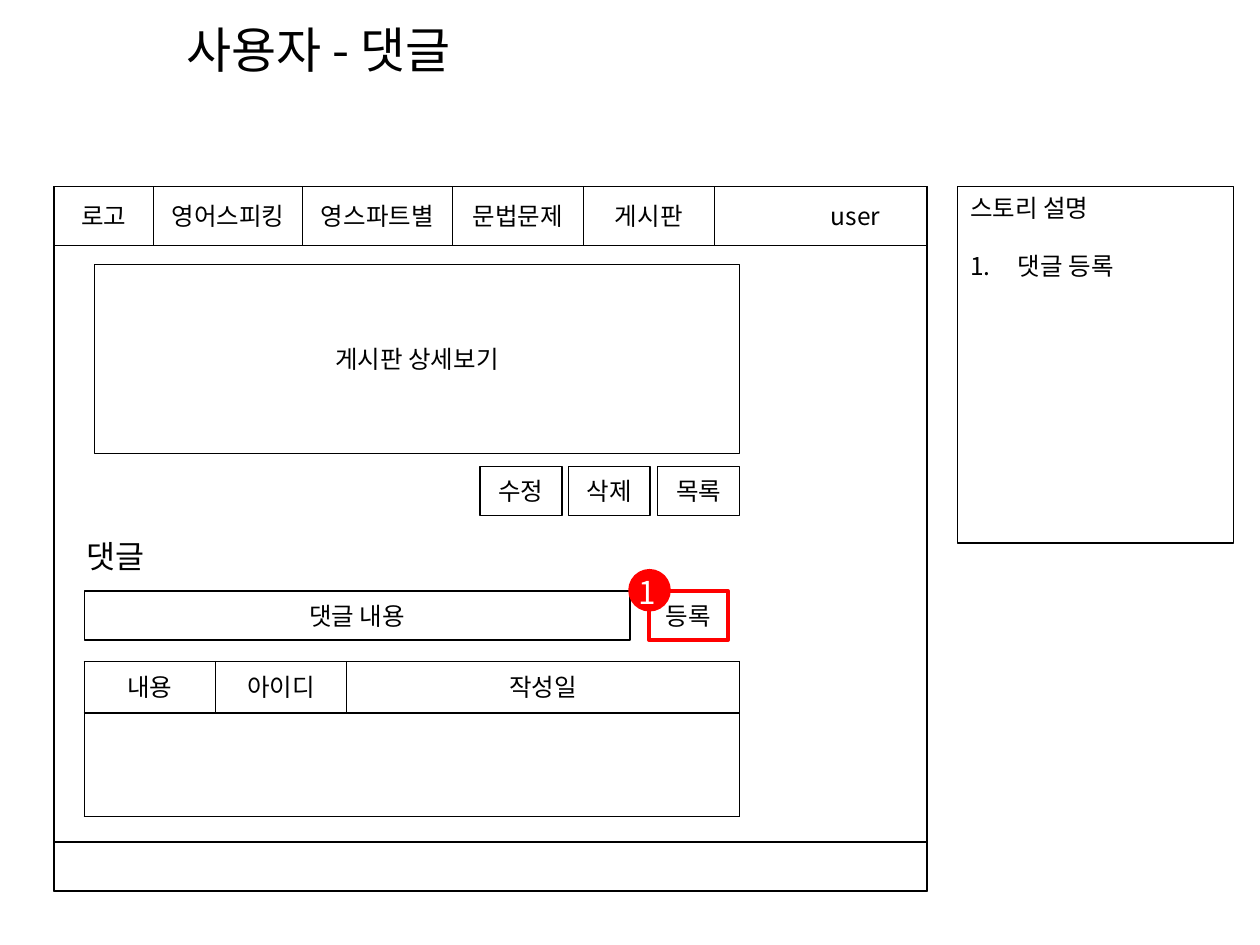
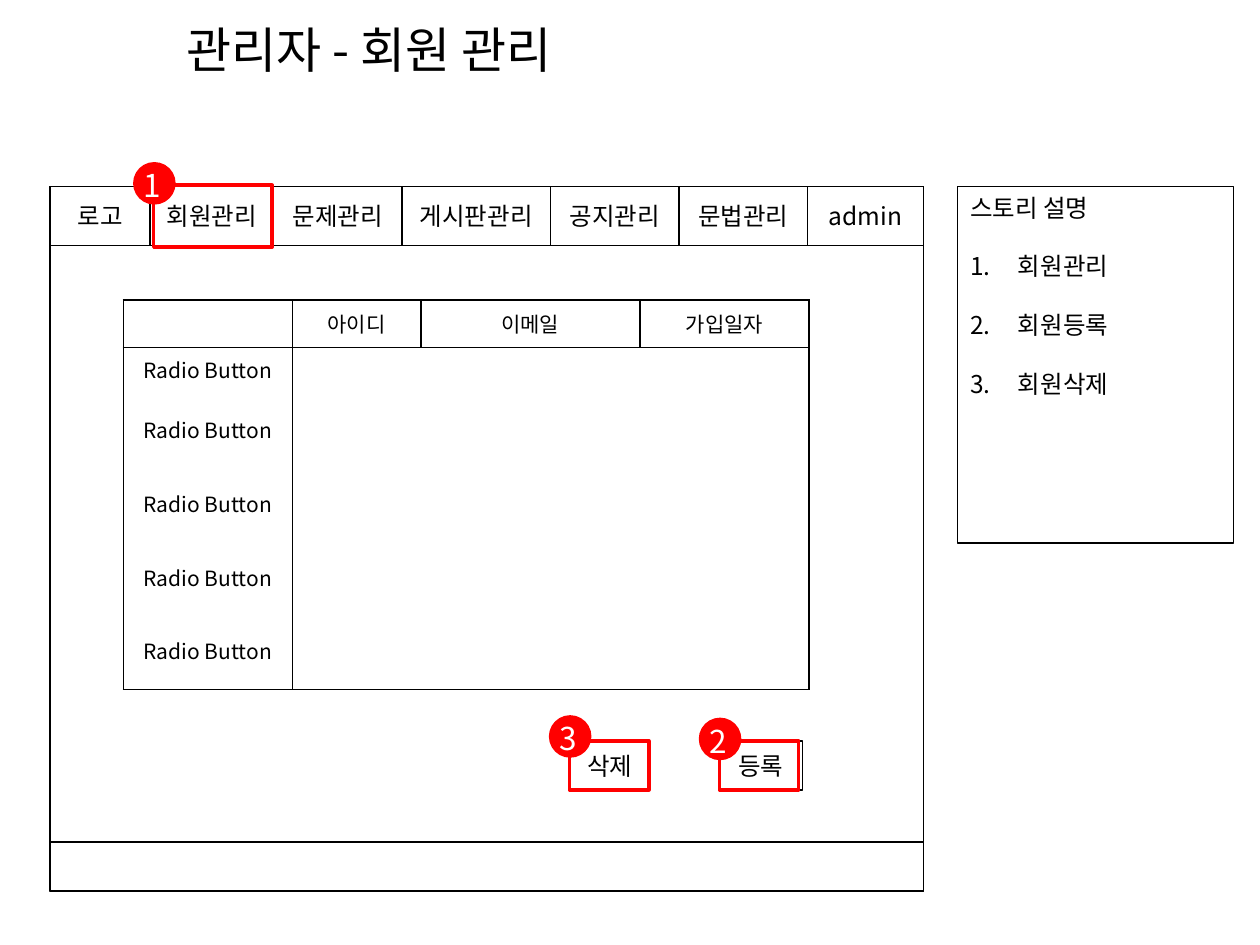
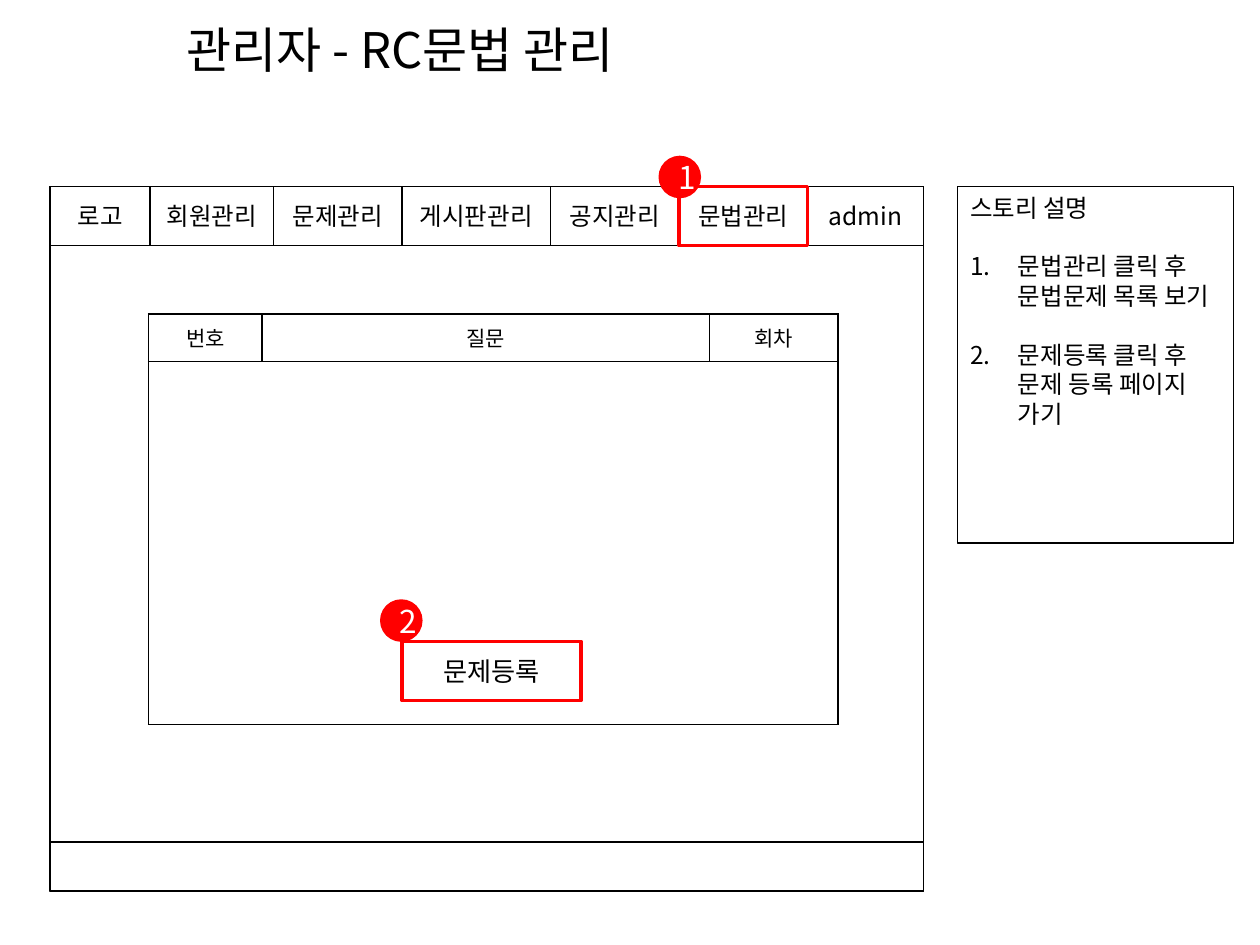
from pptx import Presentation
from pptx.dml.color import RGBColor as RGB
from pptx.enum.shapes import MSO_SHAPE as SHAPE
from pptx.enum.text import MSO_ANCHOR as ANCHOR, PP_ALIGN as ALIGN
from pptx.oxml.ns import qn
from pptx.util import Inches, Pt
from lxml import etree

COLORS = {"ink": "000000", "paper": "FFFFFF", "mark": "FF0000"}
FONT = "Noto Sans CJK KR"
LEADING = 1.2

prs = Presentation()
prs.slide_width, prs.slide_height = Inches(10), Inches(7.5)
COL, ROW = prs.slide_width / 100, prs.slide_height / 75


def box(s, x, y, w, h, lines=(), size=14, color="ink", line=None, weight=0.75,
        fill=None, kind=SHAPE.RECTANGLE, align=ALIGN.CENTER, anchor=ANCHOR.MIDDLE, numbered=False):
    place = [int(v) for v in (x * COL, y * ROW, w * COL, h * ROW)]
    if line:
        sp = s.shapes.add_shape(kind, *place)
        sp.shadow.inherit = False
        sp.line.color.rgb = RGB.from_string(COLORS[line])
        sp.line.width = Pt(weight)
        if fill:
            sp.fill.solid()
            sp.fill.fore_color.rgb = RGB.from_string(COLORS[fill])
        else:
            sp.fill.background()
    else:
        sp = s.shapes.add_textbox(*place)
    tf = sp.text_frame
    tf.word_wrap = True
    tf.vertical_anchor = anchor
    for i, text in enumerate(lines):
        p = tf.paragraphs[0] if i == 0 else tf.add_paragraph()
        p.alignment = align
        p.line_spacing = Pt(size * LEADING)
        if i > 0:
            p.space_before = Pt(size * LEADING)
        if numbered and i > 0:
            pPr = p._p.get_or_add_pPr()
            pPr.set("marL", str(Inches(0.38)))
            pPr.set("indent", str(-Inches(0.38)))
            etree.SubElement(pPr, qn("a:buAutoNum"), type="arabicPeriod")
        r = p.add_run()
        r.text = text
        r.font.size, r.font.name = Pt(size), FONT
        r.font.color.rgb = RGB.from_string(COLORS[color])
        etree.SubElement(r._r.get_or_add_rPr(), qn("a:ea"), typeface=FONT)
    return sp


def grid(s, x, y, cols, rows, header, size, anchor, first=None, fill=None):
    frame = s.shapes.add_table(len(rows), len(cols), int(x * COL), int(y * ROW),
                               int(sum(cols) * COL), int(sum(rows) * ROW))
    tbl = frame.table
    tbl.first_row = tbl.horz_banding = False
    for column, w in zip(tbl.columns, cols):
        column.width = int(w * COL)
    for row, h in zip(tbl.rows, rows):
        row.height = int(h * ROW)
    for i in range(len(rows)):
        for j in range(len(cols)):
            cell = tbl.cell(i, j)
            if fill:
                cell.fill.solid()
                cell.fill.fore_color.rgb = RGB.from_string(COLORS[fill])
            else:
                cell.fill.background()
            text = header[j] if i == 0 else first if j == 0 else None
            p = cell.text_frame.paragraphs[0]
            if text:
                cell.vertical_anchor = anchor if i == 0 else ANCHOR.TOP
                p.alignment = ALIGN.CENTER
                r = p.add_run()
                r.text = text
                r.font.size, r.font.name = Pt(size), FONT
                r.font.color.rgb = RGB.from_string(COLORS["ink"])
                etree.SubElement(r._r.get_or_add_rPr(), qn("a:ea"), typeface=FONT)
            else:
                etree.SubElement(p._p, qn("a:endParaRPr"), sz=str(size * 100))
            split = i == 0 or bool(first)
            sides = {"L": j == 0 or i == 0 or (split and j == 1),
                     "R": j == len(cols) - 1 or i == 0 or (split and j == 0),
                     "T": i < 2,
                     "B": i == 0 or i == len(rows) - 1}
            tcPr = cell._tc.get_or_add_tcPr()
            for k, (side, shown) in enumerate(sides.items()):
                ln = etree.Element(qn("a:ln" + side), w=str(Pt(1)))
                tcPr.insert(k, ln)
                if shown:
                    solid = etree.SubElement(ln, qn("a:solidFill"))
                    etree.SubElement(solid, qn("a:srgbClr"), val=COLORS["ink"])
                else:
                    etree.SubElement(ln, qn("a:noFill"))


USER_MENU = [("로고", 7.9), ("영어스피킹", 11.8), ("영스파트별", 11.9), ("문법문제", 10.4), ("게시판", 10.4)]
ADMIN_MENU = [("로고", 7.9), ("회원관리", 9.8), ("문제관리", 10.2), ("게시판관리", 11.8),
              ("공지관리", 10.2), ("문법관리", 10.2)]

PAGES = [
    {"title": "사용자 - 댓글", "left": 4.3, "menu": USER_MENU, "account": ("user", 62.4, 11),
     "story": ["댓글 등록"],
     "boxes": [("게시판 상세보기", 7.5, 21, 51.2, 15, 14), ("수정", 38.1, 37, 6.5, 3.9, 14),
               ("삭제", 45.1, 37, 6.5, 3.9, 14), ("목록", 52.2, 37, 6.5, 3.9, 14),
               ("댓글 내용", 6.7, 46.9, 43.3, 3.9, 14), ("등록", 51.5, 46.9, 6.3, 3.9, 14)],
     "table": dict(x=6.7, y=52.5, cols=[10.4, 10.4, 31.2], rows=[4.1] * 3,
                   header=["내용", "아이디", "작성일"], size=14, anchor=ANCHOR.TOP, fill="paper"),
     "marks": [("1", 51.5, 46.9, 6.3, 3.9, 50, 45.3)]},
    {"title": "관리자 - 회원 관리", "left": 4, "menu": ADMIN_MENU, "account": ("admin", 64.2, 9),
     "story": ["회원관리", "회원등록", "회원삭제"],
     "boxes": [("등록", 57.1, 58.8, 6.6, 3.9, 14), ("삭제", 45.3, 58.8, 6.2, 3.9, 14)],
     "table": dict(x=9.8, y=23.8, cols=[13.4, 10.2, 17.4, 13.4], rows=[3.8, 4.8] + [5.85] * 3 + [4.8],
                   header=["", "아이디", "이메일", "가입일자"], size=12, anchor=ANCHOR.MIDDLE,
                   first="Radio Button"),
     "marks": [("2", 57.1, 58.8, 6.3, 3.9, 55.6, 57.1), ("3", 45.2, 58.8, 6.3, 3.9, 43.7, 56.9),
               ("1", 12.2, 14.7, 9.4, 4.9, 10.7, 13)]},
    {"title": "관리자 - RC문법 관리", "left": 4, "menu": ADMIN_MENU, "account": ("admin", 64.2, 9),
     "story": ["문법관리 클릭 후 문법문제 목록 보기", "문제등록 클릭 후 문제 등록 페이지 가기"],
     "boxes": [("문제등록", 31.9, 50.9, 14.2, 4.7, 15)],
     "table": dict(x=11.8, y=24.9, cols=[9, 35.5, 10.2], rows=[3.8] + [4.8] * 6,
                   header=["번호", "질문", "회차"], size=12, anchor=ANCHOR.MIDDLE),
     "inside": True,
     "marks": [("2", 31.9, 50.9, 14.2, 4.7, 30.3, 47.7), ("1", 53.9, 14.8, 10.2, 4.7, 52.4, 12.5)]},
]

for page in PAGES:
    s = prs.slides.add_slide(prs.slide_layouts[6])
    left = page["left"]
    for y, h in [(14.8, 55.9), (14.8, 4.7), (66.8, 3.9)]:
        box(s, left, y, 69.3, h, line="ink", weight=1)
    x = left
    for label, w in page["menu"]:
        box(s, x, 14.8, w, 4.7, [label], line="ink")
        x += w
    account, x, w = page["account"]
    box(s, x, 14.8, w, 4.7, [account])

    grid(s, **page["table"])
    for label, x, y, w, h, size in page["boxes"]:
        box(s, x, y, w, h, [label], size, line="ink")
    if page is PAGES[0]:
        box(s, 5.9, 42.1, 7.1, 4, ["댓글"], 18, align=ALIGN.LEFT, anchor=ANCHOR.TOP)

    for number, x, y, w, h, dot_x, dot_y in page["marks"]:
        box(s, x, y, w, h, line="mark", weight=2)
        inside = page.get("inside")
        box(s, dot_x, dot_y, 3.1, 3.1, [number] if inside else [], 18, "paper",
            line="mark", weight=2, fill="mark", kind=SHAPE.OVAL)
        if not inside:
            sp = box(s, dot_x + 0.7, dot_y - 0.3, 1.4, 4, [number], 18, "paper",
                     align=ALIGN.LEFT, anchor=ANCHOR.TOP)
            tf = sp.text_frame
            tf.word_wrap = False
            tf.margin_left = tf.margin_right = 0

    box(s, 76, 14.8, 21.9, 28.3, ["스토리 설명"] + page["story"], line="ink",
        align=ALIGN.LEFT, anchor=ANCHOR.TOP, numbered=True)
    box(s, 13.8, 1.1, 84.3, 5.7, [page["title"]], 28, align=ALIGN.LEFT, anchor=ANCHOR.TOP)

prs.save("out.pptx")
